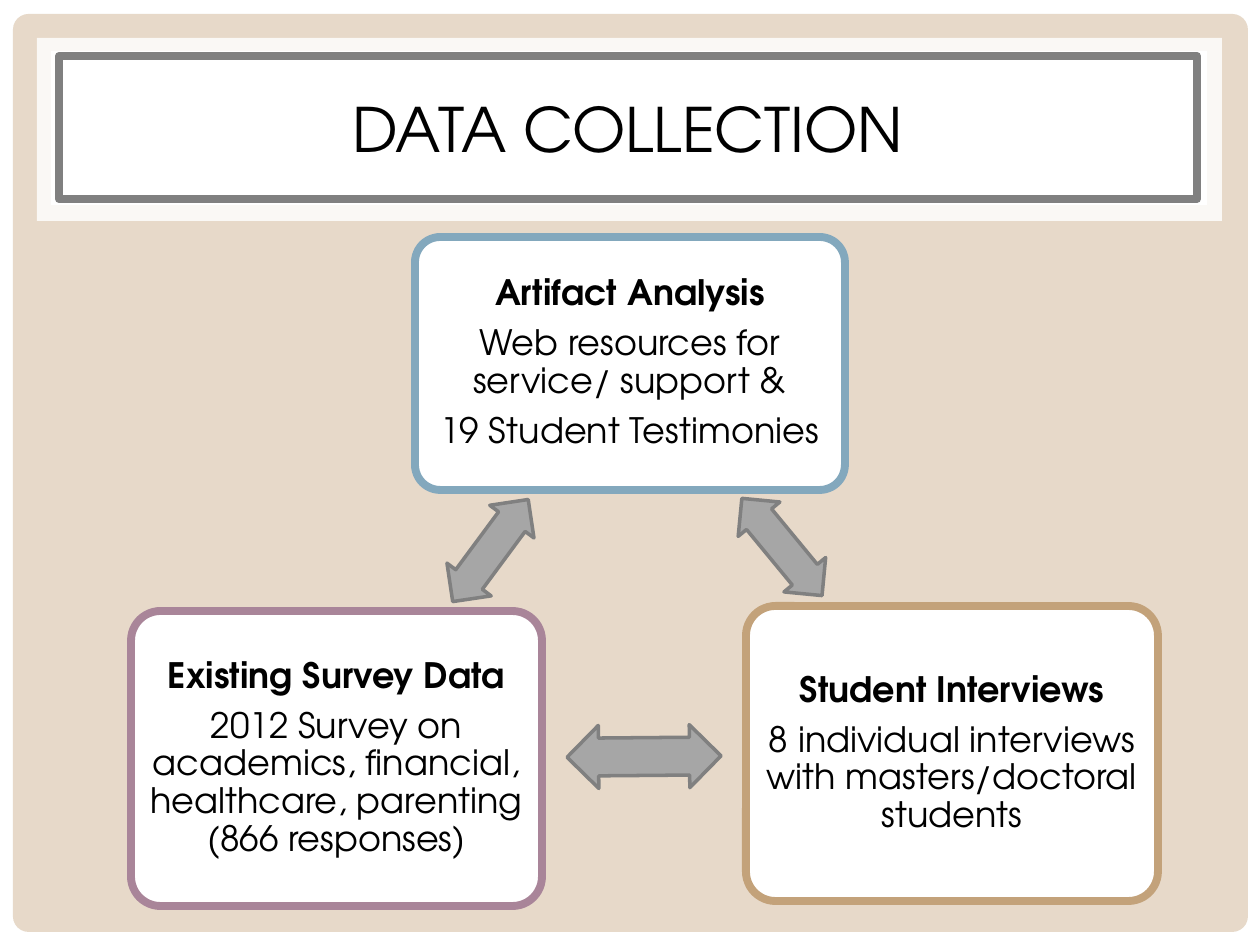
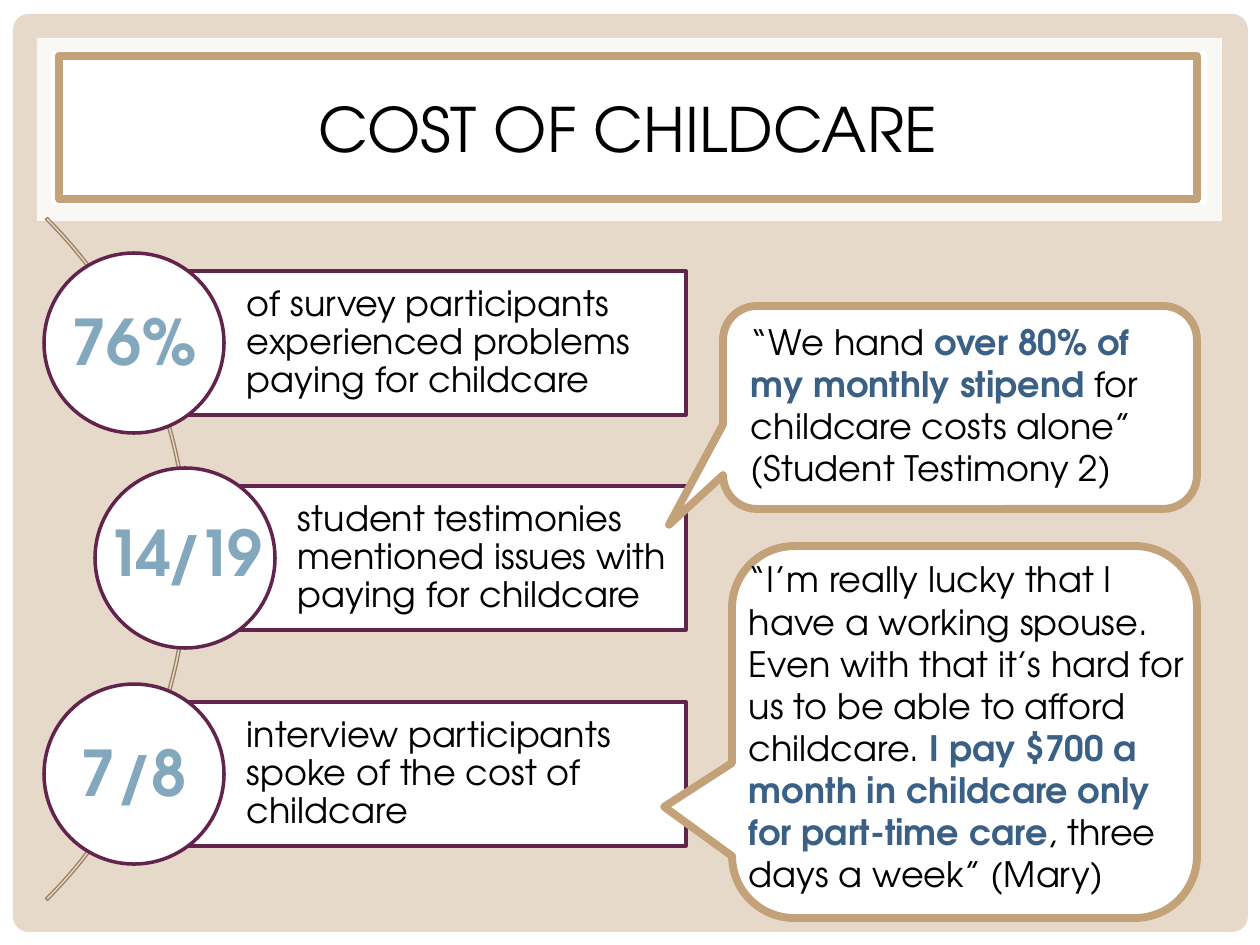
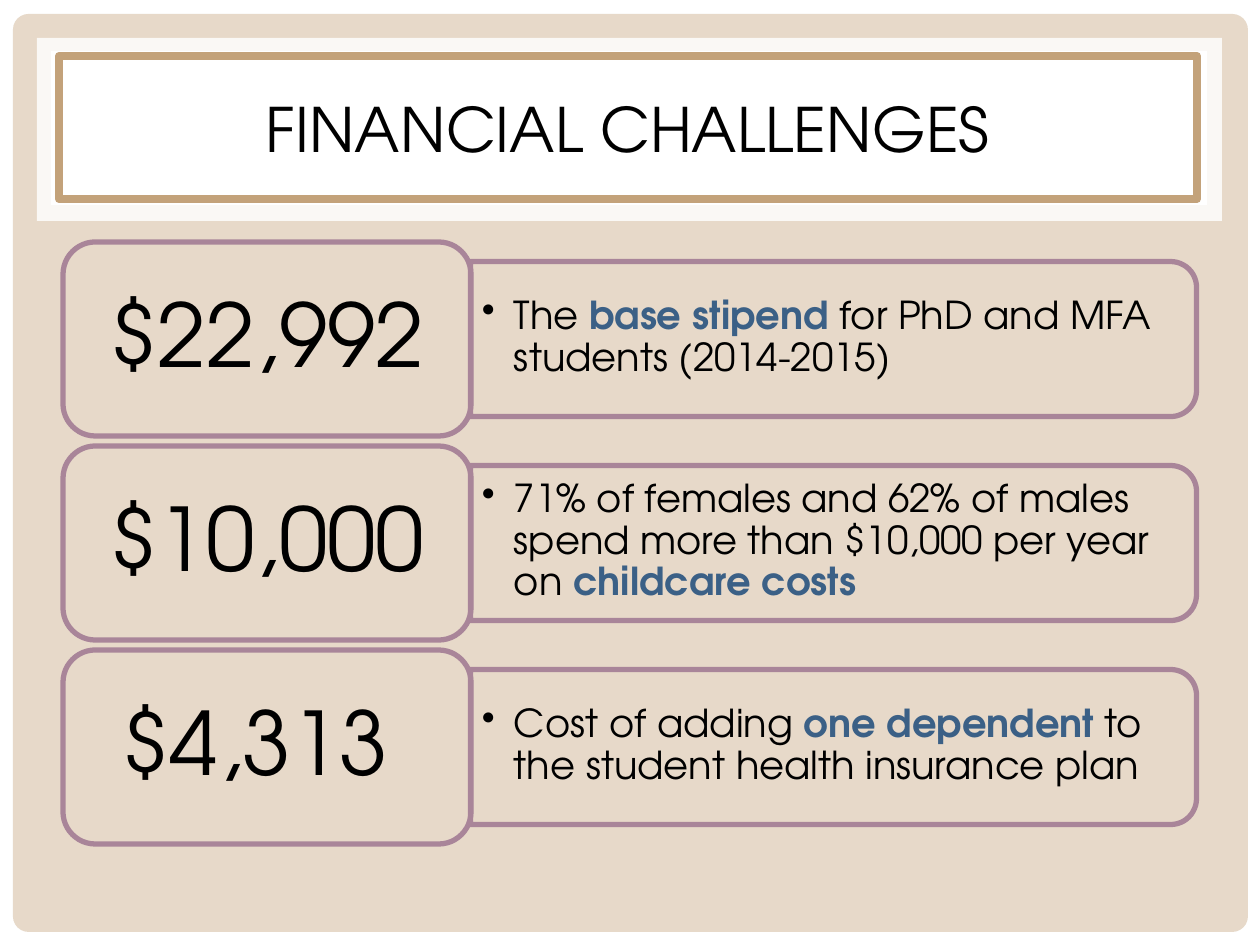
from dataclasses import dataclass

from lxml.etree import SubElement
from pptx import Presentation
from pptx.dml.color import RGBColor
from pptx.enum.shapes import MSO_SHAPE as Kind
from pptx.enum.text import MSO_ANCHOR as Anchor, PP_ALIGN as Align
from pptx.oxml.ns import qn
from pptx.util import Pt

EMU_PER_PX = 914400 / 126


@dataclass(frozen=True)
class Theme:
    font: str = "TeX Gyre Adventor"
    ink: str = "000000"
    white: str = "FFFFFF"
    tan: str = "C3A27A"
    blue: str = "83A8BD"
    mauve: str = "A98599"
    plum: str = "62234D"
    emphasis: str = "3B6086"
    arc: str = "9C8262"
    arrow: str = "A6A6A6"
    grey: str = "808080"
    title: int = 35
    body: int = 20
    fact: int = 22
    count: int = 36
    amount: int = 50
    heavy: float = 4.5
    medium: float = 3
    thin: float = 2
    hairline: float = 0.75


THEME = Theme()


def px(value):
    return round(value * EMU_PER_PX)


def add_box(page, kind, place, fill=None, line=None, weight=THEME.heavy,
            adjust=(), turn=0, alpha=None):
    box = page.shapes.add_shape(kind, *map(px, place))
    box.shadow.inherit = False
    box.rotation = turn
    for index, value in enumerate(adjust):
        box.adjustments[index] = value
    if fill:
        box.fill.solid()
        box.fill.fore_color.rgb = RGBColor.from_string(fill)
        if alpha:
            colour = box.element.spPr.find(".//" + qn("a:srgbClr"))
            SubElement(colour, qn("a:alpha"), val=str(alpha * 1000))
    else:
        box.fill.background()
    if line:
        box.line.color.rgb = RGBColor.from_string(line)
        box.line.width = Pt(weight)
    else:
        box.line.fill.background()
    return box


def write(box, lines, size=THEME.body, align=Align.LEFT, anchor=Anchor.MIDDLE,
          insets=(13, 6, 13, 6), colour=THEME.ink, strong=THEME.emphasis,
          spacing=None, after=0, wrap=True):
    frame = box.text_frame
    frame.word_wrap = wrap
    frame.vertical_anchor = anchor
    (frame.margin_left, frame.margin_top,
     frame.margin_right, frame.margin_bottom) = map(px, insets)
    for number, line in enumerate(lines):
        para = frame.add_paragraph() if number else frame.paragraphs[0]
        para.alignment = align
        para.line_spacing = spacing
        para.space_after = Pt(after)
        for index, words in enumerate(line.split("*")):
            if not words:
                continue
            span = para.add_run()
            span.text = words
            span.font.name = THEME.font
            span.font.size = Pt(size)
            span.font.bold = index % 2 == 1
            shade = strong if span.font.bold else colour
            span.font.color.rgb = RGBColor.from_string(shade)


def add_text(page, place, lines, **style):
    box = page.shapes.add_textbox(*map(px, place))
    write(box, lines, **style)
    return box


def add_bullet(para, indent):
    settings = para._p.get_or_add_pPr()
    settings.set("marL", str(px(indent)))
    settings.set("indent", str(-px(indent)))
    SubElement(settings, qn("a:buChar"), char="•")


def add_page(deck, title, border=THEME.tan):
    page = deck.slides.add_slide(deck.slide_layouts[6])
    add_box(page, Kind.ROUNDED_RECTANGLE, (13, 14, 1235, 918), THEME.tan,
            adjust=[0.017], alpha=40)
    add_box(page, Kind.RECTANGLE, (37, 38, 1185, 183), THEME.white, alpha=83)
    add_box(page, Kind.RECTANGLE, (51, 51, 1156, 154), THEME.white)
    banner = add_box(page, Kind.RECTANGLE, (59, 56, 1138, 143), THEME.white, border)
    write(banner, [title], size=THEME.title, align=Align.CENTER)
    return page


def add_source(page, place, border, lines):
    box = add_box(page, Kind.ROUNDED_RECTANGLE, place, THEME.white, border,
                  adjust=[0.1])
    write(box, lines, align=Align.CENTER, insets=(9, 10, 9, 10),
          strong=THEME.ink, spacing=0.9, after=7)


def add_finding(page, centre_x, centre_y, count, words, lift, tracking=0):
    bar = add_box(page, Kind.RECTANGLE, (centre_x, centre_y - 72, 686 - centre_x, 144),
                  THEME.white, THEME.plum, THEME.thin)
    write(bar, [words], insets=(113, 8, 8, 8), spacing=0.9, after=7)
    radius = 90
    circle = add_box(page, Kind.OVAL,
                     (centre_x - radius, centre_y - radius, 2 * radius, 2 * radius),
                     THEME.white, THEME.plum, THEME.thin)
    write(circle, [f"*{count}*"], size=THEME.count, align=Align.CENTER,
          insets=(0, 0, 0, 2 * lift), strong=THEME.blue, wrap=False)
    if tracking:
        span = circle.text_frame.paragraphs[0].runs[0]
        span.font._element.set("spc", str(tracking * 100))


def add_quote(page, callout, adjust, turn, place, lines):
    add_box(page, Kind.ROUNDED_RECTANGULAR_CALLOUT, callout, THEME.white,
            THEME.tan, adjust=adjust, turn=turn)
    add_text(page, place, lines, anchor=Anchor.TOP)


def add_fact(page, top, amount, words):
    centre_y = top + 97
    width, height = 155, 726
    add_box(page, Kind.ROUND_2_SAME_RECTANGLE,
            (756, centre_y - height // 2, width, height),
            line=THEME.mauve, weight=THEME.medium, turn=90)
    fact = add_text(page, (471, centre_y - 71, 718, 140), [words], size=THEME.fact,
                    insets=(11, 6, 11, 6), spacing=0.9, after=3.3)
    add_bullet(fact.text_frame.paragraphs[0], 32)
    panel = add_box(page, Kind.ROUNDED_RECTANGLE, (63, top, 408, 194),
                    line=THEME.mauve, weight=THEME.medium)
    write(panel, [amount], size=THEME.amount, align=Align.CENTER,
          insets=(26, 13, 26, 13), spacing=0.9, after=17.5)


def build_collection(deck):
    page = add_page(deck, "DATA COLLECTION", THEME.grey)
    add_source(page, (415, 237, 430, 253), THEME.blue,
               ["*Artifact Analysis*", "Web resources for service/ support &",
                "19 Student Testimonies"])
    add_source(page, (746, 606, 412, 295), THEME.tan,
               ["*Student Interviews*",
                "8 individual interviews with masters/doctoral students"])
    add_source(page, (131, 611, 411, 295), THEME.mauve,
               ["*Existing Survey Data*",
                "2012 Survey on academics, financial, healthcare, parenting "
                "(866 responses)"])
    for place, turn in (((719, 520, 126, 54), 50.5),
                        ((567, 725, 154, 63), 179.5),
                        ((427, 523, 127, 55), 306.5)):
        add_box(page, Kind.LEFT_RIGHT_ARROW, place, THEME.arrow, THEME.grey,
                THEME.thin, adjust=[0.6, 0.5], turn=turn)


def build_childcare(deck):
    page = add_page(deck, "COST OF CHILDCARE")
    add_box(page, Kind.BLOCK_ARC, (-777, 76, 966, 966), line=THEME.arc,
            weight=THEME.hairline, adjust=[189, 27, 0.003])
    findings = (
        (134, "76%", "of survey participants experienced problems paying for childcare",
         3, 0),
        (185, "14/19", "student testimonies mentioned issues with paying for childcare",
         7, -3),
        (134, "7/8", "interview participants spoke of the cost of childcare", 3, 0),
    )
    for index, (centre_x, count, words, lift, tracking) in enumerate(findings):
        add_finding(page, centre_x, 343 + index * 431 // 2, count, words, lift, tracking)
    add_quote(page, (723, 306, 474, 203), [-0.614, 0.578, 0.167], 0,
              (738, 314, 450, 183),
              ["“We hand *over 80% of my monthly stipend *for childcare costs alone”",
               "(Student Testimony 2)"])
    add_quote(page, (732, 546, 465, 372), [0.646, -0.201, 0.167], 180,
              (736, 552, 465, 352),
              ["“I’m really lucky that I have a working spouse. Even with that it’s "
               "hard for us to be able to afford childcare. *I pay $700 a month in "
               "childcare only for part-time care*, three days a week” (Mary)"])


def build_finances(deck):
    page = add_page(deck, "FINANCIAL CHALLENGES")
    facts = (
        ("$22,992 ", "The *base stipend *for PhD and MFA students (2014-2015)"),
        ("$10,000", "71% of females and 62% of males spend more than $10,000 per year "
                    "on *childcare costs*"),
        ("$4,313 ", "Cost of adding *one dependent* to the student health insurance plan"),
    )
    for index, (amount, words) in enumerate(facts):
        add_fact(page, 242 + index * 204, amount, words)


def main():
    deck = Presentation()
    deck.slide_width, deck.slide_height = px(1260), px(945)
    build_collection(deck)
    build_childcare(deck)
    build_finances(deck)
    deck.save("out.pptx")


if __name__ == "__main__":
    main()
